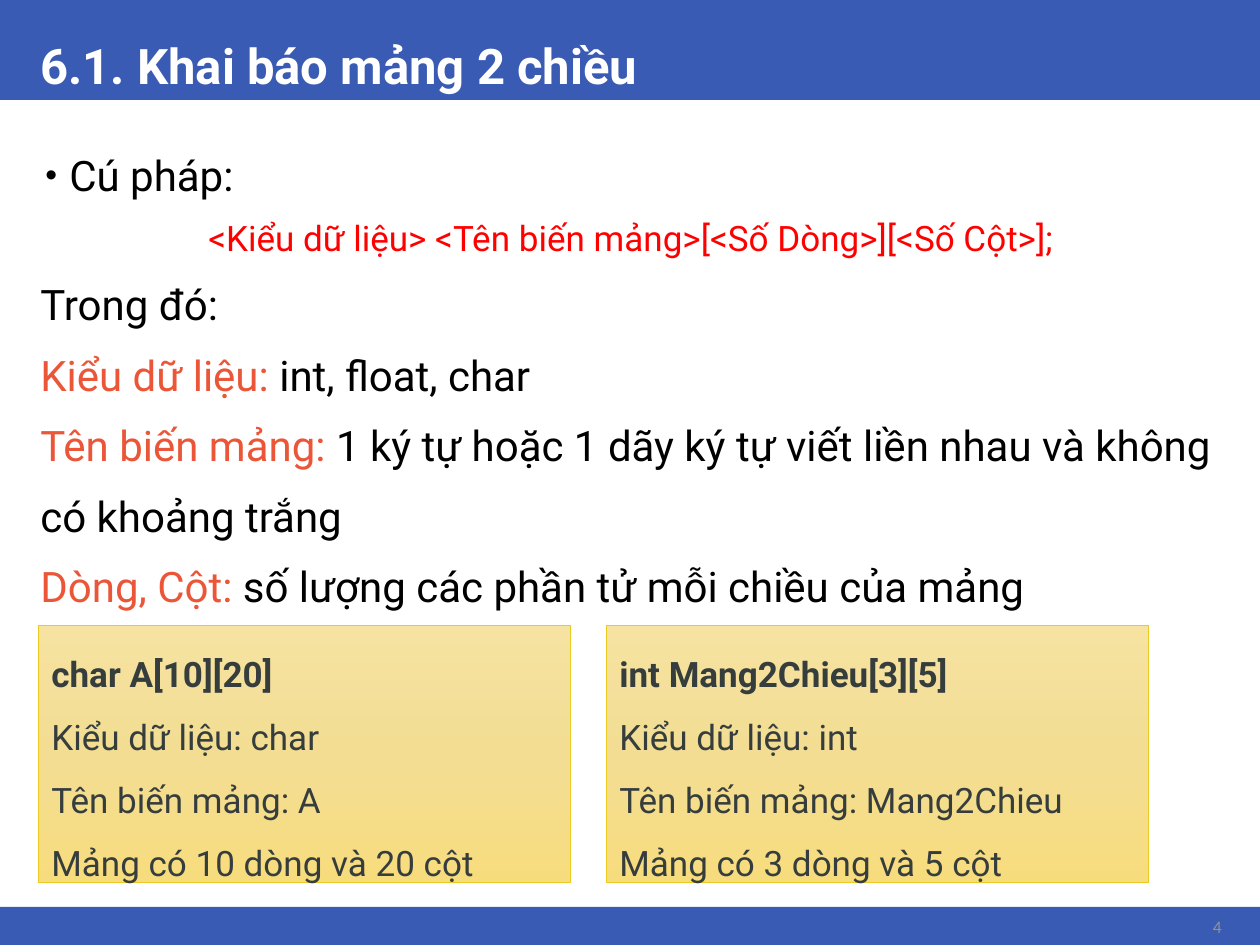
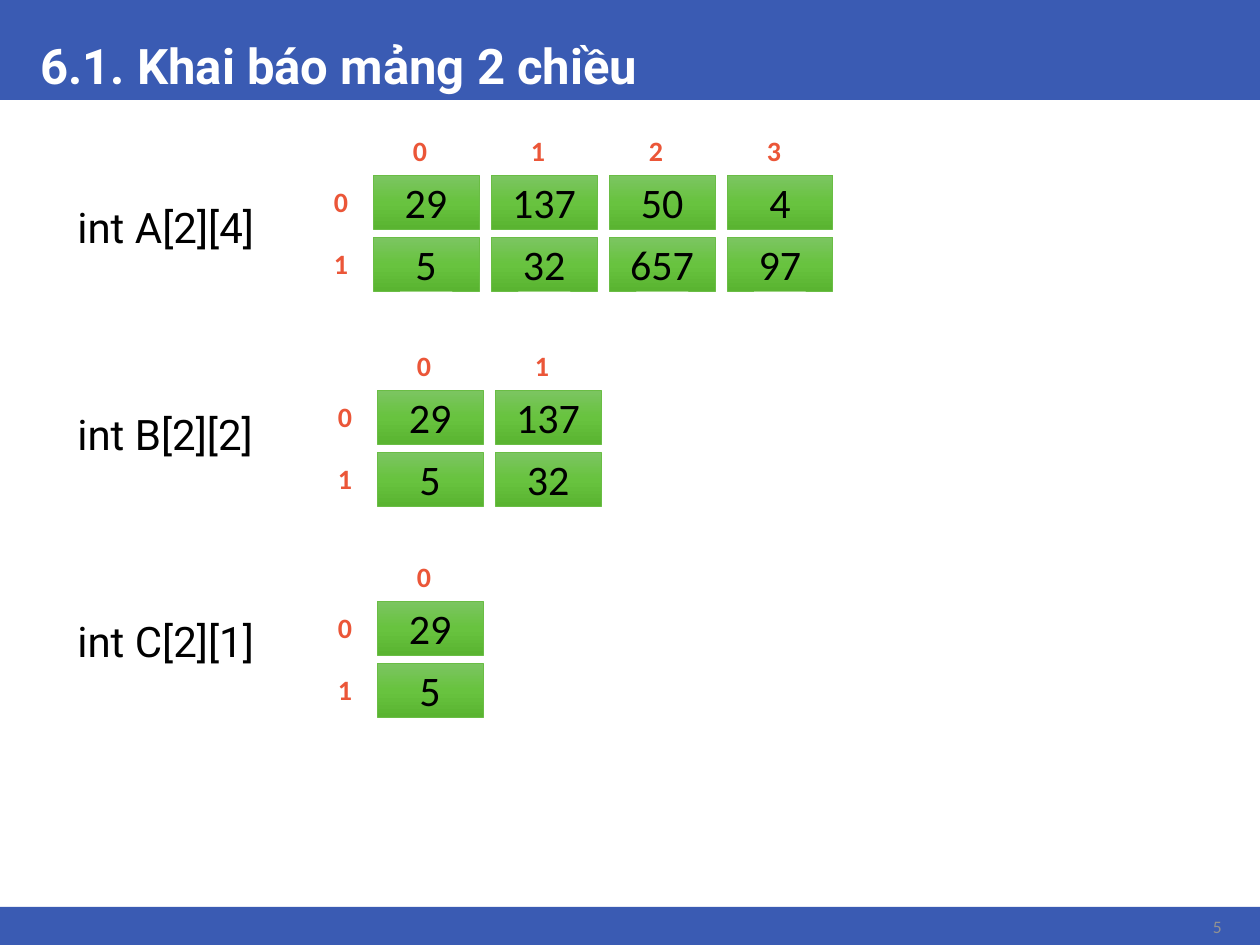
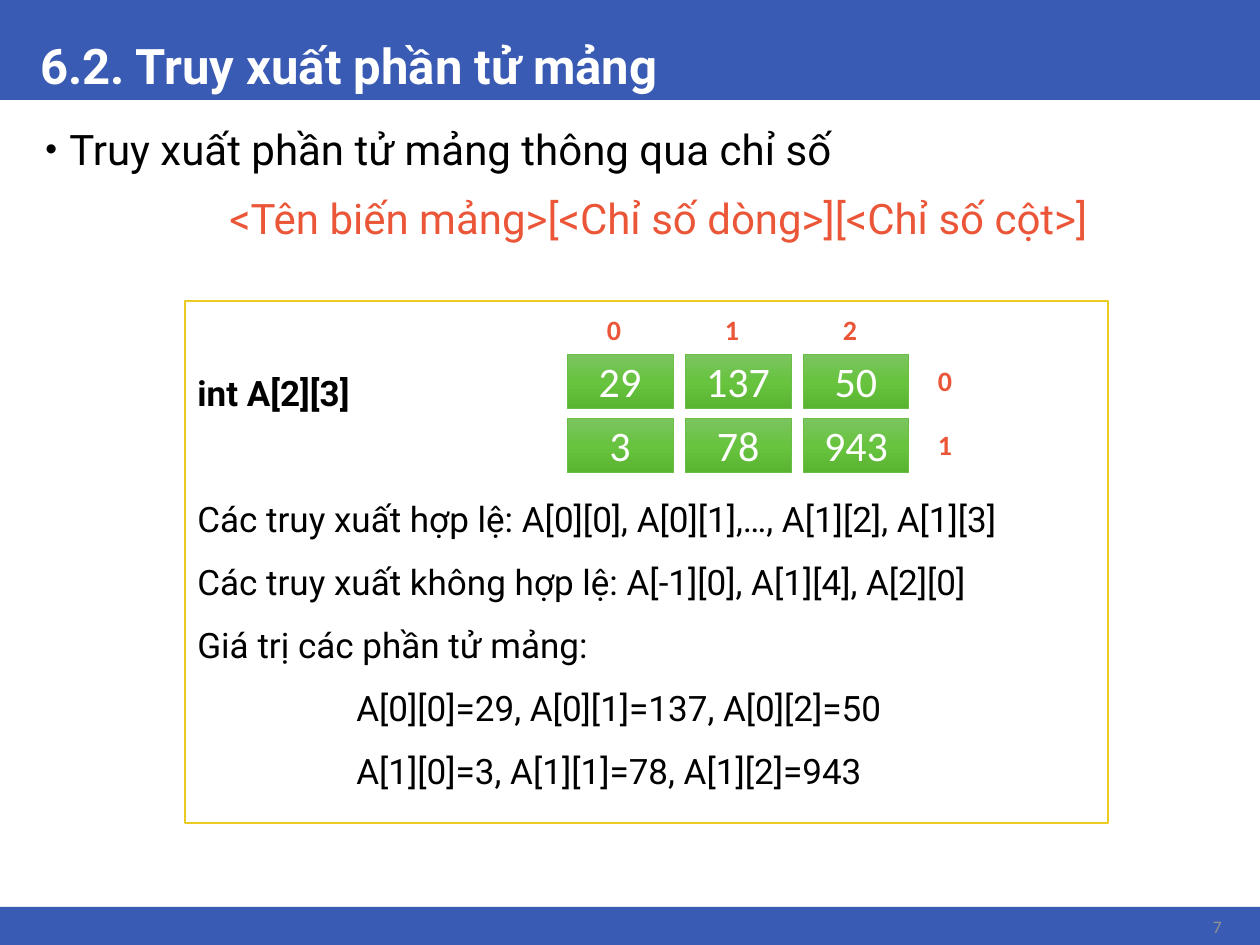
from copy import deepcopy

from lxml import etree
from pptx import Presentation
from pptx import util as u
from pptx.dml.color import RGBColor
from pptx.enum import shapes, text
from pptx.oxml.ns import qn

PX = u.Inches(1) / 126
rgb = RGBColor.from_string
LEFT, CENTER, RIGHT = text.PP_ALIGN.LEFT, text.PP_ALIGN.CENTER, text.PP_ALIGN.RIGHT
TOP, MIDDLE, BOTTOM = text.MSO_ANCHOR.TOP, text.MSO_ANCHOR.MIDDLE, text.MSO_ANCHOR.BOTTOM

BLUE, WHITE, BLACK, RED = "3A5BB3", "FFFFFF", "000000", "FF0000"
ORANGE, GRAY, DARK, GOLD, GREEN = "EB5638", "919292", "363D3D", "EBCA21", "6ABD45"
GOLD_FADE = ("F6E3A1", "F3DD93", "F7DC7E")
GREEN_FADE = ("7CC562", "68C33F", "5AB431")


def add_box(slide, left, top, width, height, fill=None, line=None, weight=0.5, anchor=TOP):
    """Add a rectangle, plain, faded or unfilled, and return its text frame."""
    shape = slide.shapes.add_shape(
        shapes.MSO_SHAPE.RECTANGLE, *(round(n * PX) for n in (left, top, width, height)))
    shape.shadow.inherit = False
    if fill is None:
        shape.fill.background()
    elif isinstance(fill, str):
        shape.fill.solid()
        shape.fill.fore_color.rgb = rgb(fill)
    else:
        shape.fill.gradient()
        shape.fill.gradient_angle = 270
        stops = shape._element.find(".//" + qn("a:gsLst"))
        stops.insert(1, deepcopy(stops[0]))
        for stop, color, position in zip(shape.fill.gradient_stops, fill, (0, 0.5, 1)):
            stop.color.rgb = rgb(color)
            stop.position = position
    if line:
        shape.line.color.rgb = rgb(line)
        shape.line.width = u.Pt(weight)
    else:
        shape.line.fill.background()
    frame = shape.text_frame
    frame.word_wrap = True
    frame.vertical_anchor = anchor
    return frame


def write(frame, runs, size, font="Roboto", bold=False, align=LEFT, spacing=1.0,
          before=0, margin=0, indent=0, bullet=False):
    """Add a paragraph made of (words, colour) runs."""
    paragraph = frame.paragraphs[0]
    if paragraph.runs:
        paragraph = frame.add_paragraph()
    paragraph.alignment = align
    paragraph.line_spacing = spacing
    paragraph.space_before = u.Pt(before)
    properties = paragraph._p.get_or_add_pPr()
    properties.set("marL", str(round(margin * PX)))
    properties.set("indent", str(round(indent * PX)))
    if bullet:
        etree.SubElement(properties, qn("a:buSzPct")).set("val", "80000")
        etree.SubElement(properties, qn("a:buFont")).set("typeface", "Arial")
        etree.SubElement(properties, qn("a:buChar")).set("char", "•")
    for words, color in runs:
        run = paragraph.add_run()
        run.text = words
        run.font.name = font
        run.font.size = u.Pt(size)
        run.font.bold = bold
        run.font.color.rgb = rgb(color)


presentation = Presentation()
presentation.slide_width = u.Inches(10)
presentation.slide_height = u.Inches(7.5)

# Bands, titles and slide numbers
slides = []
for title, number in (("6.1. Khai báo mảng 2 chiều", "4"),
                      ("6.1. Khai báo mảng 2 chiều", "5"),
                      ("6.2. Truy xuất phần tử mảng", "7")):
    slide = presentation.slides.add_slide(presentation.slide_layouts[6])
    add_box(slide, 0, 0, 1260, 100, BLUE)
    add_box(slide, 0, 907, 1260, 38, BLUE)
    write(add_box(slide, 28, 0, 1206, 101, anchor=BOTTOM), [(title, WHITE)], 28,
          bold=True, spacing=0.9)
    write(add_box(slide, 1167, 910, 67, 33, anchor=MIDDLE), [(number, GRAY)], 10,
          font="Calibri", align=RIGHT)
    slides.append(slide)
syntax_slide, examples_slide, access_slide = slides

# Slide 1: syntax
body = add_box(syntax_slide, 28, 123, 1206, 522)
write(body, [("Cú pháp:", BLACK)], 24, spacing=1.4, margin=29, indent=-24, bullet=True)
write(body, [("<Kiểu dữ liệu> <Tên biến mảng>[<Số Dòng>][<Số Cột>];", RED)], 20,
      align=CENTER, spacing=1.4, indent=-20)
for term, meaning in (
        ("", "Trong đó:"),
        ("Kiểu dữ liệu: ", "int, float, char"),
        ("Tên biến mảng: ", "1 ký tự hoặc 1 dãy ký tự viết liền nhau và không có khoảng trắng"),
        ("Dòng, Cột: ", "số lượng các phần tử mỗi chiều của mảng")):
    runs = [(words, color) for words, color in ((term, ORANGE), (meaning, BLACK)) if words]
    write(body, runs, 24, spacing=1.4)

# Slide 1: two sample declarations
for left, width, declaration, kind, name, rows, columns in (
        (39, 532, "char A[10][20]", "char", "A", 10, 20),
        (607, 542, "int Mang2Chieu[3][5]", "int", "Mang2Chieu", 3, 5)):
    frame = add_box(syntax_slide, left, 625, width, 258, GOLD_FADE, GOLD)
    write(frame, [(declaration, DARK)], 20, bold=True, spacing=1.5)
    for detail in (f"Kiểu dữ liệu: {kind}", f"Tên biến mảng: {name}",
                   f"Mảng có {rows} dòng và {columns} cột"):
        write(frame, [(detail, DARK)], 20, spacing=1.5)

# Slide 2: names of the arrays
for index, declaration in enumerate(("int A[2][4]", "int B[2][2]", "int C[2][1]")):
    write(add_box(examples_slide, 65, 202 + 207 * index, 230, 50, anchor=MIDDLE),
          [(declaration, BLACK)], 24)

# Slide 3: access by index
body = add_box(access_slide, 28, 123, 1232, 161)
write(body, [("Truy xuất phần tử mảng thông qua chỉ số", BLACK)], 24, spacing=0.9,
      before=13.5, margin=29, indent=-24, bullet=True)
write(body, [("<Tên biến mảng>[<Chỉ số dòng>][<Chỉ số cột>]", ORANGE)], 24, align=CENTER,
      spacing=0.9, before=13.5, margin=29)

frame = add_box(access_slide, 185, 301, 923, 522, WHITE, GOLD, 1)
frame.margin_top = round(49 * PX)
write(frame, [("int A[2][3]", BLACK)], 20, bold=True, spacing=1.5)
for sentence, before, margin in (
        ("Các truy xuất hợp lệ: A[0][0], A[0][1],…, A[1][2], A[1][3]", 36, 0),
        ("Các truy xuất không hợp lệ: A[-1][0], A[1][4], A[2][0]", 0, 0),
        ("Giá trị các phần tử mảng:", 0, 0),
        ("A[0][0]=29, A[0][1]=137, A[0][2]=50", 0, 159),
        ("A[1][0]=3, A[1][1]=78, A[1][2]=943", 0, 159)):
    write(frame, [(sentence, BLACK)], 20, spacing=1.5, before=before, margin=margin)

# Array grids with their row and column indices
for slide, left, top, row_pitch, index_left, color, values in (
        (examples_slide, 373, 175, 62, 315, BLACK, ((29, 137, 50, 4), (5, 32, 657, 97))),
        (examples_slide, 377, 390, 62, 319, BLACK, ((29, 137), (5, 32))),
        (examples_slide, 377, 601, 62, 319, BLACK, ((29,), (5,))),
        (access_slide, 567, 354, 64, 919, WHITE, ((29, 137, 50), (3, 78, 943)))):
    indices = [(left - 6 + 118 * column, top - 34, 106, 19, column)
               for column in range(len(values[0]))]
    for row, numbers in enumerate(values):
        cell_top = top + row_pitch * row
        indices.append((index_left, cell_top + 9, 52, 35, row))
        for column, number in enumerate(numbers):
            cell = add_box(slide, left + 118 * column, cell_top, 106, 54,
                           GREEN_FADE, GREEN, anchor=MIDDLE)
            write(cell, [(str(number), color)], 24, font="Calibri", align=CENTER)
    for *place, index in indices:
        write(add_box(slide, *place, WHITE, anchor=MIDDLE), [(str(index), ORANGE)], 16,
              font="Calibri", bold=True, align=CENTER)

presentation.save("out.pptx")
